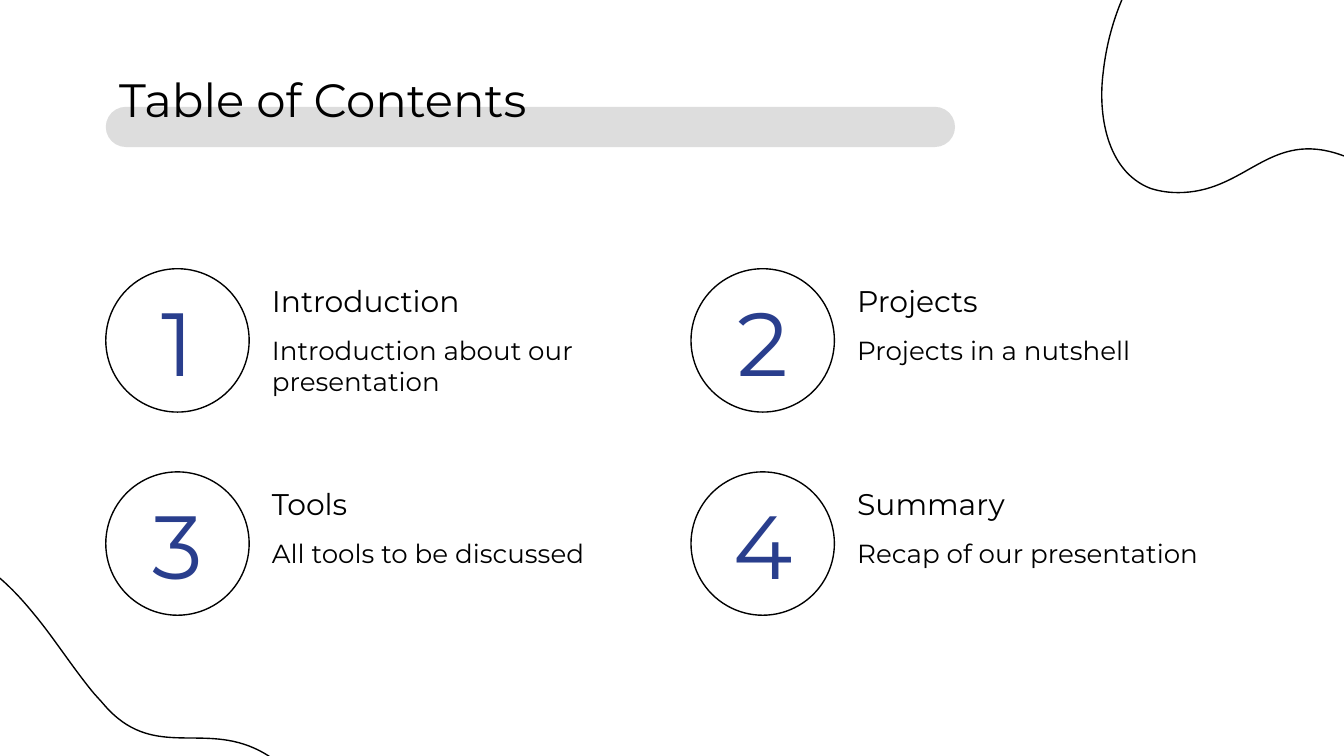
from math import cos, radians, sin

from pptx import Presentation
from pptx.dml.color import RGBColor
from pptx.enum.shapes import MSO_SHAPE
from pptx.enum.text import MSO_ANCHOR, MSO_AUTO_SIZE, PP_ALIGN
from pptx.oxml.ns import qn
from pptx.util import Cm, Pt

ELLIPSE, PILL = MSO_SHAPE.OVAL, MSO_SHAPE.ROUNDED_RECTANGLE
TOP, MIDDLE = MSO_ANCHOR.TOP, MSO_ANCHOR.MIDDLE
LEFT, CENTER = PP_ALIGN.LEFT, PP_ALIGN.CENTER
NO_AUTOFIT = MSO_AUTO_SIZE.NONE
COMPARISON_LAYOUT = 4

FONT = "Montserrat"
BLACK, GREY, BLUE = "000000", "DDDDDD", "293E8D"

COLUMNS, ROWS = (2, 13.06), (5.08, 8.92)
CIRCLE = 2.71
TEXT_WIDTH = 7.44
# Heading, width of its box, description
ITEMS = [
    ("Introduction", TEXT_WIDTH, "Introduction about our presentation"),
    ("Projects", 8.18, "Projects in a nutshell"),
    ("Tools", 8.66, "All tools to be discussed"),
    ("Summary", TEXT_WIDTH, "Recap of our presentation"),
]

# Blob outline in cm: a start point, then two controls and an end per curve
BLOB_CENTER = (26.37, 0.93)
BLOB_START = (21.74, 3.56)
BLOB_CURVES = [
    ((21.95, 3.63), (22.2, 3.66), (22.48, 3.63)),
    ((23.6, 3.51), (24.05, 2.49), (25.32, 2.92)),
    ((25.45, 2.97), (25.58, 3), (25.7, 3.05)),
    ((26.29, 3.28), (26.82, 3.56), (27.36, 3.76)),
    ((28.02, 4.01), (28.68, 4.17), (29.51, 4.04)),
    ((30.96, 3.86), (31.57, 3), (31.75, 1.8)),
    ((32.11, -0.28), (30.78, -1.8), (28.88, -2.54)),
    ((28.07, -2.84), (27.15, -3), (26.21, -3)),
    ((23.22, -3), (21.13, -1.17), (20.85, 1.37)),
    ((20.75, 2.13), (20.9, 3.23), BLOB_START),
]


def color(value):
    return RGBColor.from_string(value)


def style_shape(shape, fill=None, line=None):
    shape.shadow.inherit = False
    if fill:
        shape.fill.solid()
        shape.fill.fore_color.rgb = color(fill)
    else:
        shape.fill.background()
    if line:
        shape.line.color.rgb = color(line)
        shape.line.width = Pt(0.75)
    else:
        shape.line.fill.background()


def add_preset(page, kind, left, top, width, height, **style):
    shape = page.shapes.add_shape(kind, Cm(left), Cm(top), Cm(width), Cm(height))
    style_shape(shape, **style)
    return shape


def bend_lines(shape):
    """Turn each three line segments of a freeform into one cubic curve."""
    lines = list(shape.element.iter(qn("a:lnTo")))
    for index in range(0, len(lines), 3):
        curve = lines[index].makeelement(qn("a:cubicBezTo"), {})
        lines[index].addprevious(curve)
        for line in lines[index:index + 3]:
            curve.append(line[0])
            line.getparent().remove(line)


def add_blob(page, center, degrees=0):
    """Draw the blob around center, turned clockwise by degrees."""
    cosine, sine = cos(radians(degrees)), sin(radians(degrees))
    points = []
    for x, y in [BLOB_START, *(point for curve in BLOB_CURVES for point in curve)]:
        dx, dy = x - BLOB_CENTER[0], y - BLOB_CENTER[1]
        points.append((Cm(center[0] + dx * cosine - dy * sine),
                       Cm(center[1] + dx * sine + dy * cosine)))
    builder = page.shapes.build_freeform(*points[0])
    builder.add_line_segments(points[1:], close=True)
    blob = builder.convert_to_shape()
    bend_lines(blob)
    style_shape(blob, line=BLACK)


def add_text_box(page):
    return page.shapes.add_textbox(0, 0, 0, 0)


def place(box, left, top, width, height):
    """Set the place of a box and bring it to the front."""
    box.left, box.top, box.width, box.height = map(Cm, (left, top, width, height))
    box.element.getparent().append(box.element)


def write(box, text, size, ink=BLACK, align=LEFT, anchor=TOP):
    frame = box.text_frame
    frame.word_wrap = True
    frame.auto_size = NO_AUTOFIT
    frame.vertical_anchor = anchor
    frame.margin_left = frame.margin_right = Cm(0.25)
    frame.margin_top = frame.margin_bottom = Cm(0.25)
    para = frame.paragraphs[0]
    para.alignment = align
    para.space_before = para.space_after = Pt(0)
    properties = para._p.get_or_add_pPr()
    properties.set("marL", "0")
    properties.set("indent", "0")
    properties.append(properties.makeelement(qn("a:buNone"), {}))
    span = para.add_run()
    span.text = text
    span.font.name = FONT
    span.font.size = Pt(size)
    span.font.bold = False
    span.font.color.rgb = color(ink)


def add_item(page, number, heading_box, heading, heading_width, description):
    row, column = divmod(number - 1, len(COLUMNS))
    left, top = COLUMNS[column], ROWS[row]
    add_preset(page, ELLIPSE, left, top, CIRCLE, CIRCLE, line=BLACK)

    number_box = add_text_box(page)
    place(number_box, left + 0.13, top + 0.38, 2.46, 1.96)
    write(number_box, str(number), 48, ink=BLUE, align=CENTER, anchor=MIDDLE)

    text_left = left + 2.89
    place(heading_box, text_left, top + 0.01, heading_width, 1.04)
    write(heading_box, heading, 16)

    description_box = add_text_box(page)
    place(description_box, text_left, top + 0.99, TEXT_WIDTH, 1.7)
    write(description_box, description, 14)


def main():
    deck = Presentation()
    deck.slide_width, deck.slide_height = Cm(25.4), Cm(14.29)
    page = deck.slides.add_slide(deck.slide_layouts[COMPARISON_LAYOUT])
    title = page.shapes.title
    heading_boxes = [box for box in page.placeholders
                     if 1 <= box.placeholder_format.idx <= len(ITEMS)]

    bar = add_preset(page, PILL, 2, 2.02, 16.05, 0.76, fill=GREY)
    bar.adjustments[0] = 0.5
    add_blob(page, BLOB_CENTER)
    add_blob(page, (0.08, 14.54), degrees=-150.1)

    place(title, 2, 1.08, 21.41, 1.7)
    write(title, "Table of Contents", 25)
    for number, (box, item) in enumerate(zip(heading_boxes, ITEMS), start=1):
        add_item(page, number, box, *item)

    deck.save("out.pptx")


if __name__ == "__main__":
    main()
